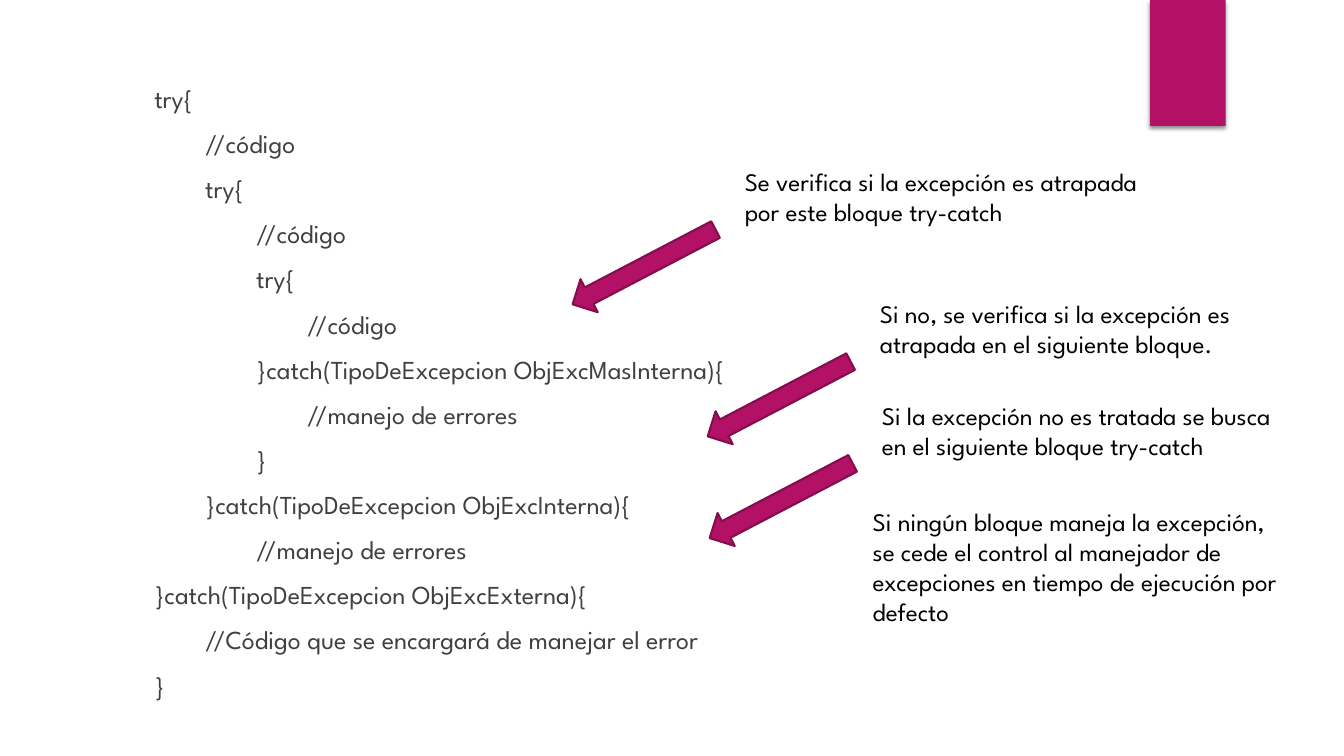
from dataclasses import dataclass

from lxml import etree
from pptx import Presentation
from pptx import util as u
from pptx.dml.color import RGBColor
from pptx.enum import shapes, text
from pptx.oxml import ns
from pptx.shapes.autoshape import Shape
from pptx.slide import Slide
from pptx.text.text import TextFrame

FONT = "League Spartan"
MAGENTA = RGBColor(0xB3, 0x11, 0x66)
DARK_MAGENTA = RGBColor(0x84, 0x0D, 0x4B)
GRAY = RGBColor(0x40, 0x40, 0x40)
BLACK = RGBColor(0, 0, 0)
INDENT = 36.4
NOTE_WIDTH = 303.8
ARROW_DX, ARROW_DY = -122.4, 62.2


@dataclass(frozen=True)
class CodeLine:
    """One line of code and its nesting level."""
    level: int
    code: str


@dataclass(frozen=True)
class Note:
    """An explanation, with or without an arrow to the code."""
    left: float
    top: float
    height: float
    words: str
    has_arrow: bool = True


CODE = (
    CodeLine(0, "try{"),
    CodeLine(1, "//código"),
    CodeLine(1, "try{"),
    CodeLine(2, "//código"),
    CodeLine(2, "try{"),
    CodeLine(3, "//código"),
    CodeLine(2, "}catch(TipoDeExcepcion ObjExcMasInterna){"),
    CodeLine(3, "//manejo de errores"),
    CodeLine(2, "}"),
    CodeLine(1, "}catch(TipoDeExcepcion ObjExcInterna){"),
    CodeLine(2, "//manejo de errores"),
    CodeLine(0, "}catch(TipoDeExcepcion ObjExcExterna){"),
    CodeLine(1, "//Código que se encargará de manejar el error"),
    CodeLine(0, "}"),
)
NOTES = (
    Note(524.9, 115.2, 72.7, "Se verifica si la excepción es atrapada por este bloque try-catch"),
    Note(621.4, 209.5, 72.7, "Si no, se verifica si la excepción es atrapada en el siguiente bloque."),
    Note(622.8, 282.2, 72.7, "Si la excepción no es tratada se busca en el siguiente bloque try-catch"),
    Note(616.3, 357.8, 116.6, "Si ningún bloque maneja la excepción, se cede el control al manejador "
         "de excepciones en tiempo de ejecución por defecto", has_arrow=False),
)


def format_text(frame: TextFrame, size: float, color: RGBColor) -> None:
    """Give every run of the frame the slide font, a size and a colour."""
    for para in frame.paragraphs:
        for span in para.runs:
            span.font.name = FONT
            span.font.size = u.Pt(size)
            span.font.color.rgb = color


def add_block(page: Slide, kind: shapes.MSO_SHAPE, left: float, top: float,
              width: float, height: float) -> Shape:
    """Add a magenta preset shape without outline or shadow."""
    block = page.shapes.add_shape(kind, u.Pt(left), u.Pt(top), u.Pt(width), u.Pt(height))
    block.shadow.inherit = False
    block.fill.solid()
    block.fill.fore_color.rgb = MAGENTA
    block.line.fill.background()
    return block


def add_ribbon(page: Slide) -> None:
    """Add the ribbon at the top edge, with a soft shadow below it."""
    ribbon = add_block(page, shapes.MSO_SHAPE.RECTANGLE, 821.5, 0, 54, 90)
    effects = ribbon.element.spPr.find(ns.qn("a:effectLst"))
    shadow = etree.SubElement(effects, ns.qn("a:outerShdw"), blurRad=str(u.Pt(3)),
                              dist=str(u.Pt(2)), dir="5400000", rotWithShape="0")
    color = etree.SubElement(shadow, ns.qn("a:srgbClr"), val="000000")
    etree.SubElement(color, ns.qn("a:alpha"), val="45000")


def fill_code(box: Shape) -> None:
    """Place the body placeholder and write the indented code into it."""
    box.left, box.top = u.Pt(103), u.Pt(55.4)
    box.width, box.height = u.Pt(670.3), u.Pt(403.9)
    frame = box.text_frame
    frame.text = "\n".join(line.code for line in CODE)
    frame.auto_size = text.MSO_AUTO_SIZE.NONE
    frame.vertical_anchor = text.MSO_ANCHOR.TOP
    for para, line in zip(frame.paragraphs, CODE):
        para.space_before = u.Pt(10)
        properties = para._p.get_or_add_pPr()
        properties.set("marL", str(u.Pt(line.level * INDENT)))
        properties.set("indent", "0")
        etree.SubElement(properties, ns.qn("a:buNone"))
    format_text(frame, 18.5, GRAY)


def add_note(page: Slide, note: Note) -> None:
    """Add an explanation and, if it has one, its arrow."""
    if note.has_arrow:
        arrow = add_block(page, shapes.MSO_SHAPE.LEFT_ARROW, note.left + ARROW_DX,
                          note.top + ARROW_DY, 115.2, 26.6)
        arrow.rotation = 332.4
        arrow.line.color.rgb = DARK_MAGENTA
        arrow.line.width = u.Pt(1.5)
    box = page.shapes.add_textbox(u.Pt(note.left), u.Pt(note.top),
                                  u.Pt(NOTE_WIDTH), u.Pt(note.height))
    frame = box.text_frame
    frame.word_wrap = True
    frame.text = note.words
    format_text(frame, 18, BLACK)


def main() -> None:
    """Build the slide and save it."""
    deck = Presentation()
    deck.slide_width, deck.slide_height = u.Pt(960), u.Pt(540)
    page = deck.slides.add_slide(deck.slide_layouts.get_by_name("Title and Content"))
    title = page.shapes.title.element
    title.getparent().remove(title)
    fill_code(page.placeholders[1])
    add_ribbon(page)
    for note in NOTES:
        add_note(page, note)
    deck.save("out.pptx")


main()
